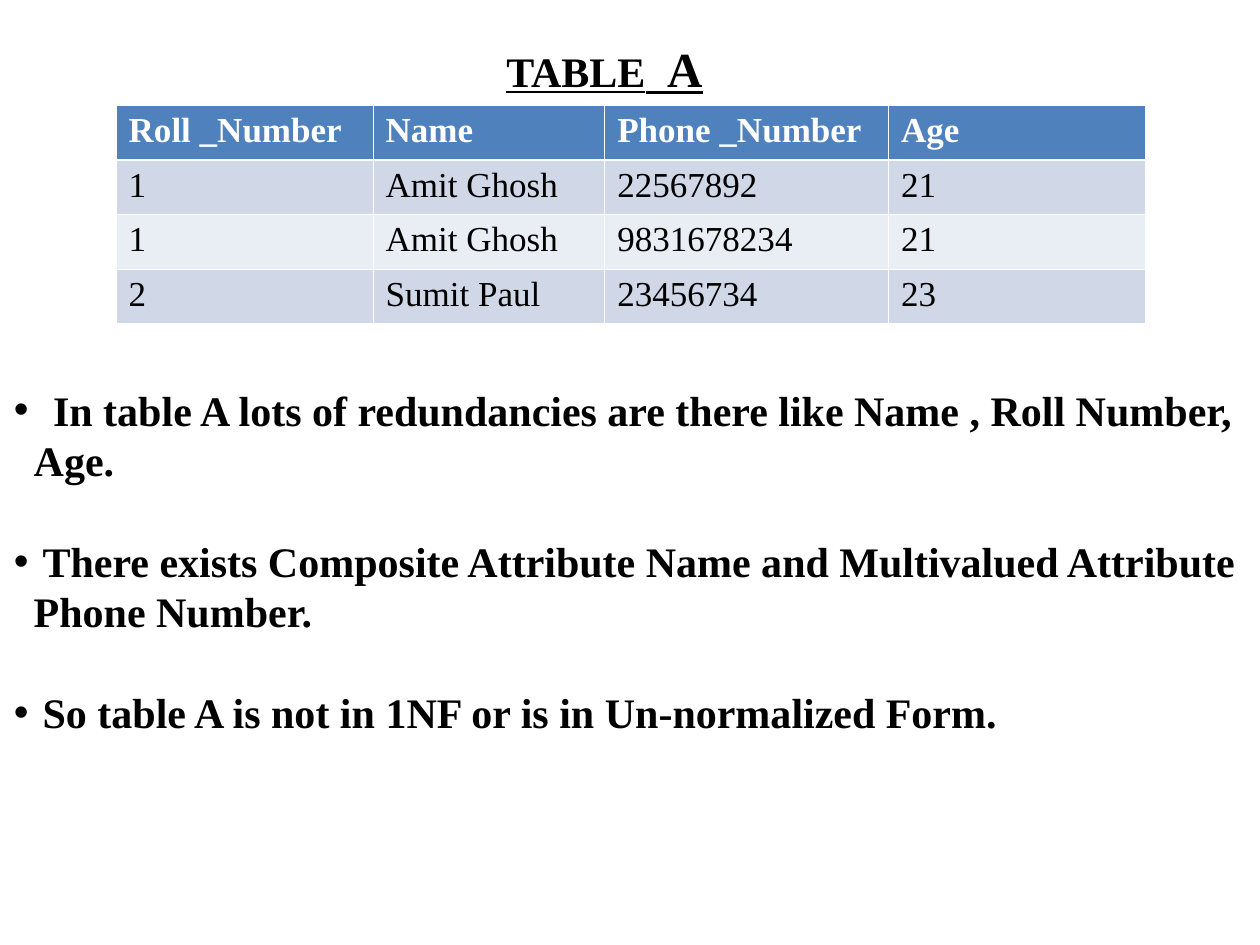
from lxml import etree
from pptx import Presentation
from pptx.dml.color import RGBColor
from pptx.enum.text import MSO_ANCHOR, MSO_AUTO_SIZE, PP_ALIGN
from pptx.oxml.ns import qn
from pptx.util import Cm, Pt

CENTER, LEFT = PP_ALIGN.CENTER, PP_ALIGN.LEFT
MIDDLE, TOP = MSO_ANCHOR.MIDDLE, MSO_ANCHOR.TOP
NO_AUTOSIZE = MSO_AUTO_SIZE.NONE

FONT = "Times New Roman"
BLACK = RGBColor(0x00, 0x00, 0x00)
WHITE = RGBColor(0xFF, 0xFF, 0xFF)
HEADER_BLUE = RGBColor(0x4F, 0x81, 0xBD)
ROW_BANDS = [RGBColor(0xD0, 0xD8, 0xE8), RGBColor(0xE9, 0xED, 0xF4)]

TITLE_ONLY = 5
LINE_PITCH = Pt(28.8)
BULLET_INDENT = Cm(0.58)
CONTINUATION_INDENT = Cm(0.4)

HEADINGS = ["Roll _Number", "Name", "Phone _Number", "Age"]
STUDENTS = [
    ["1", "Amit Ghosh", "22567892", "21"],
    ["1", "Amit Ghosh", "9831678234", "21"],
    ["2", "Sumit Paul", "23456734", "23"],
]
COLUMN_WIDTHS = [5.18, 4.67, 5.72, 5.18]

# Each remark is a bulleted line, followed by its continuation lines
REMARKS = [
    [" In table A lots of redundancies are there like Name , Roll Number,", "Age."],
    ["There exists Composite Attribute Name and Multivalued Attribute", "Phone Number."],
    ["So table A is not in 1NF or is in Un-normalized Form."],
]


def write(paragraph, text, size=24, color=BLACK, bold=True, underline=False, align=LEFT):
    paragraph.alignment = align
    run = paragraph.add_run()
    run.text = text
    run.font.name = FONT
    run.font.size = Pt(size)
    run.font.color.rgb = color
    run.font.bold = bold
    run.font.underline = underline


def set_border(cell, side, width):
    properties = cell._tc.get_or_add_tcPr()
    line = etree.SubElement(properties, qn(f"a:{side}"), w=str(Pt(width)))
    fill = etree.SubElement(line, qn("a:solidFill"))
    etree.SubElement(fill, qn("a:srgbClr"), val=str(WHITE))


def set_indent(paragraph, margin, bullet=False):
    properties = paragraph._p.get_or_add_pPr()
    properties.set("marL", str(margin))
    properties.set("indent", str(-margin if bullet else 0))
    if bullet:
        etree.SubElement(properties, qn("a:buFont"), typeface="Arial")
        etree.SubElement(properties, qn("a:buChar"), char="•")


def place_title(slide, left, top, width, height):
    title = slide.shapes.title
    title.left, title.top, title.width, title.height = left, top, width, height
    frame = title.text_frame
    frame.auto_size = NO_AUTOSIZE
    frame.word_wrap = False
    frame.vertical_anchor = MIDDLE
    heading = frame.paragraphs[0]
    write(heading, "TABLE", underline=True, align=CENTER)
    write(heading, "  A", size=28, underline=True, align=CENTER)


def place_students(slide, left, top, width, height):
    rows = [HEADINGS] + STUDENTS
    table = slide.shapes.add_table(
        len(rows), len(HEADINGS), left, top, width, height).table
    for column, column_width in zip(table.columns, COLUMN_WIDTHS):
        column.width = Cm(column_width)
    for r, row in enumerate(rows):
        is_header = r == 0
        for c, value in enumerate(row):
            cell = table.cell(r, c)
            write(cell.text_frame.paragraphs[0], value, size=20,
                  color=WHITE if is_header else BLACK, bold=is_header)
            # Borders come before the fill in the cell's XML
            set_border(cell, "lnL", 0.45)
            set_border(cell, "lnR", 0.45)
            set_border(cell, "lnT", 1.47 if r == 1 else 0.45)
            set_border(cell, "lnB", 1.47 if is_header else 0.45)
            cell.fill.solid()
            cell.fill.fore_color.rgb = HEADER_BLUE if is_header else ROW_BANDS[(r - 1) % 2]


def place_remarks(slide, left, top, width, height):
    frame = slide.shapes.add_textbox(left, top, width, height).text_frame
    frame.word_wrap = True
    frame.margin_right = 0
    frame.vertical_anchor = TOP
    for i, lines in enumerate(REMARKS):
        for j, text in enumerate(lines):
            starts_remark = j == 0
            is_first = i == 0 and starts_remark
            paragraph = frame.paragraphs[0] if is_first else frame.add_paragraph()
            paragraph.line_spacing = LINE_PITCH
            paragraph.space_before = LINE_PITCH if starts_remark and i else Pt(0)
            set_indent(paragraph, BULLET_INDENT if starts_remark else CONTINUATION_INDENT,
                       bullet=starts_remark)
            write(paragraph, text)


def main():
    prs = Presentation()
    prs.slide_width, prs.slide_height = Cm(25.4), Cm(19.05)
    slide = prs.slides.add_slide(prs.slide_layouts[TITLE_ONLY])
    place_title(slide, Cm(9.9), Cm(0.64), Cm(4.57), Cm(1.45))
    place_students(slide, Cm(2.34), Cm(2.12), Cm(sum(COLUMN_WIDTHS)), Cm(4.4))
    place_remarks(slide, Cm(0.03), Cm(7.62), Cm(25.2), Cm(7.37))
    prs.save("out.pptx")


if __name__ == "__main__":
    main()
